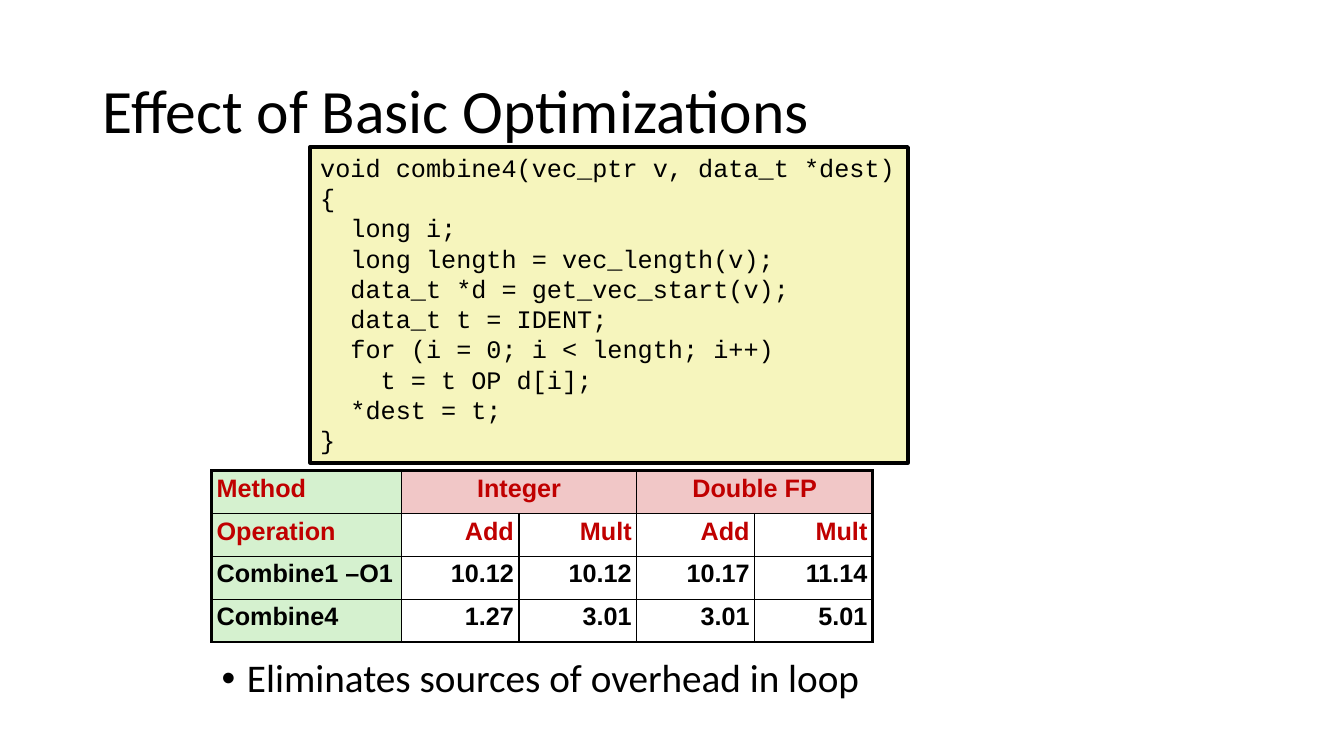
from lxml import etree
from pptx import Presentation
from pptx.dml.color import RGBColor
from pptx.enum.shapes import MSO_SHAPE
from pptx.enum.text import MSO_ANCHOR, MSO_AUTO_SIZE, PP_ALIGN
from pptx.oxml.ns import qn
from pptx.util import Cm, Pt

RECT = MSO_SHAPE.RECTANGLE
TOP, MIDDLE = MSO_ANCHOR.TOP, MSO_ANCHOR.MIDDLE
FIXED, GROW = MSO_AUTO_SIZE.NONE, MSO_AUTO_SIZE.SHAPE_TO_FIT_TEXT
LEFT, CENTER, RIGHT = PP_ALIGN.LEFT, PP_ALIGN.CENTER, PP_ALIGN.RIGHT

COLORS = {
    "black": "000000",
    "red": "C00000",
    "cream": "F6F5BD",
    "green": "D5F1CF",
    "pink": "F1C7C7",
}
CODE = """void combine4(vec_ptr v, data_t *dest)
{
  long i;
  long length = vec_length(v);
  data_t *d = get_vec_start(v);
  data_t t = IDENT;
  for (i = 0; i < length; i++)
    t = t OP d[i];
  *dest = t;
}"""
ROWS = [
    ["Method", "Integer", "", "Double FP", ""],
    ["Operation", "Add", "Mult", "Add", "Mult"],
    ["Combine1 –O1", "10.12", "10.12", "10.17", "11.14"],
    ["Combine4", "1.27", "3.01", "3.01", "5.01"],
]
WIDTHS = [4.78] + [2.97] * 4
HEIGHT = 1.08
THIN, THICK = 1, 2.25


def color(name):
    """Return the named colour."""
    return RGBColor.from_string(COLORS[name])


def assign(item, values):
    """Set attributes from a dict of format values."""
    for key, value in values.items():
        setattr(item, key, value)


def place(shape, box):
    """Move a shape to a box given in centimetres."""
    assign(shape, dict(zip(("left", "top", "width", "height"), map(Cm, box))))


def write(frame, text, font, size, tint="black", bold=False, **para):
    """Fill a text frame and format each of its paragraphs."""
    frame.text = text
    for line in frame.paragraphs:
        assign(line, para)
        for run in line.runs:
            assign(run.font, {"name": font, "size": Pt(size), "bold": bold})
            run.font.color.rgb = color(tint)


def add_title(slide, box):
    """Place the slide title."""
    title = slide.shapes.title
    place(title, box)
    assign(title.text_frame, {"vertical_anchor": MIDDLE, "auto_size": FIXED})
    write(title.text_frame, "Effect of Basic Optimizations", "Calibri", 44,
          alignment=LEFT, line_spacing=0.9)


def add_list(slide, box):
    """Place the bulleted remark below the table."""
    body = slide.placeholders[1]
    place(body, box)
    assign(body.text_frame, {"vertical_anchor": TOP, "auto_size": FIXED})
    write(body.text_frame, "Eliminates sources of overhead in loop", "Calibri",
          28, alignment=LEFT, line_spacing=0.9, space_before=Pt(10))
    props = body.text_frame.paragraphs[0]._p.get_or_add_pPr()
    props.set("marL", str(Cm(0.64)))
    props.set("indent", str(Cm(-0.64)))
    etree.SubElement(props, qn("a:buFont"), typeface="Arial")
    etree.SubElement(props, qn("a:buChar"), char="•")


def add_code(slide, box):
    """Place the framed code listing."""
    panel = slide.shapes.add_shape(RECT, *map(Cm, box))
    panel.shadow.inherit = False
    panel.fill.solid()
    panel.fill.fore_color.rgb = color("cream")
    panel.line.color.rgb = color("black")
    panel.line.width = Pt(3)
    assign(panel.text_frame, {"word_wrap": False, "auto_size": GROW,
                              "vertical_anchor": TOP})
    write(panel.text_frame, CODE, "Courier New", 18, alignment=LEFT)


def add_edges(cell, widths):
    """Draw the left, right, top and bottom borders of a cell."""
    props = cell._tc.get_or_add_tcPr()
    for side, width in zip("LRTB", widths):
        edge = etree.SubElement(props, qn(f"a:ln{side}"), w=str(Pt(width)))
        fill = etree.SubElement(edge, qn("a:solidFill"))
        etree.SubElement(fill, qn("a:srgbClr"), val=COLORS["black"])


def add_table(slide, box):
    """Place the timing table at the top left of its box."""
    frame = slide.shapes.add_table(len(ROWS), len(WIDTHS), *map(Cm, box))
    table = frame.table
    assign(table, {"first_row": False, "horz_banding": False})
    for col, width in zip(table.columns, WIDTHS):
        col.width = Cm(width)
    for row in table.rows:
        row.height = Cm(HEIGHT)
    for col in (1, 3):
        table.cell(0, col).merge(table.cell(0, col + 1))

    inset = dict.fromkeys(("margin_left", "margin_right",
                           "margin_top", "margin_bottom"), Cm(0.13))
    for r, texts in enumerate(ROWS):
        for c, text in enumerate(texts):
            cell = table.cell(r, c)
            assign(cell, inset)
            last = c + cell.span_width == len(WIDTHS)
            outer = (c == 0, last, r == 0, r == len(ROWS) - 1)
            add_edges(cell, [THICK if out else THIN for out in outer])
            if c == 0 or r == 0:
                cell.fill.solid()
                cell.fill.fore_color.rgb = color("pink" if c else "green")
            else:
                cell.fill.background()
            align = LEFT if c == 0 else CENTER if r == 0 else RIGHT
            write(cell.text_frame, text, "Arial", 18,
                  "red" if r < 2 else "black", True,
                  alignment=align, line_spacing=0.95)


def main():
    """Build and save the slide."""
    deck = Presentation()
    assign(deck, {"slide_width": Cm(33.87), "slide_height": Cm(19.05)})
    slide = deck.slides.add_slide(deck.slide_layouts[1])
    add_title(slide, (2.34, 1.02, 29.21, 3.68))
    add_list(slide, (5.33, 16.48, 21.95, 1.5))
    add_code(slide, (7.82, 3.71, 15.06, 7.95))
    add_table(slide, (5.33, 11.86, sum(WIDTHS), HEIGHT * len(ROWS)))
    deck.save("out.pptx")


main()
